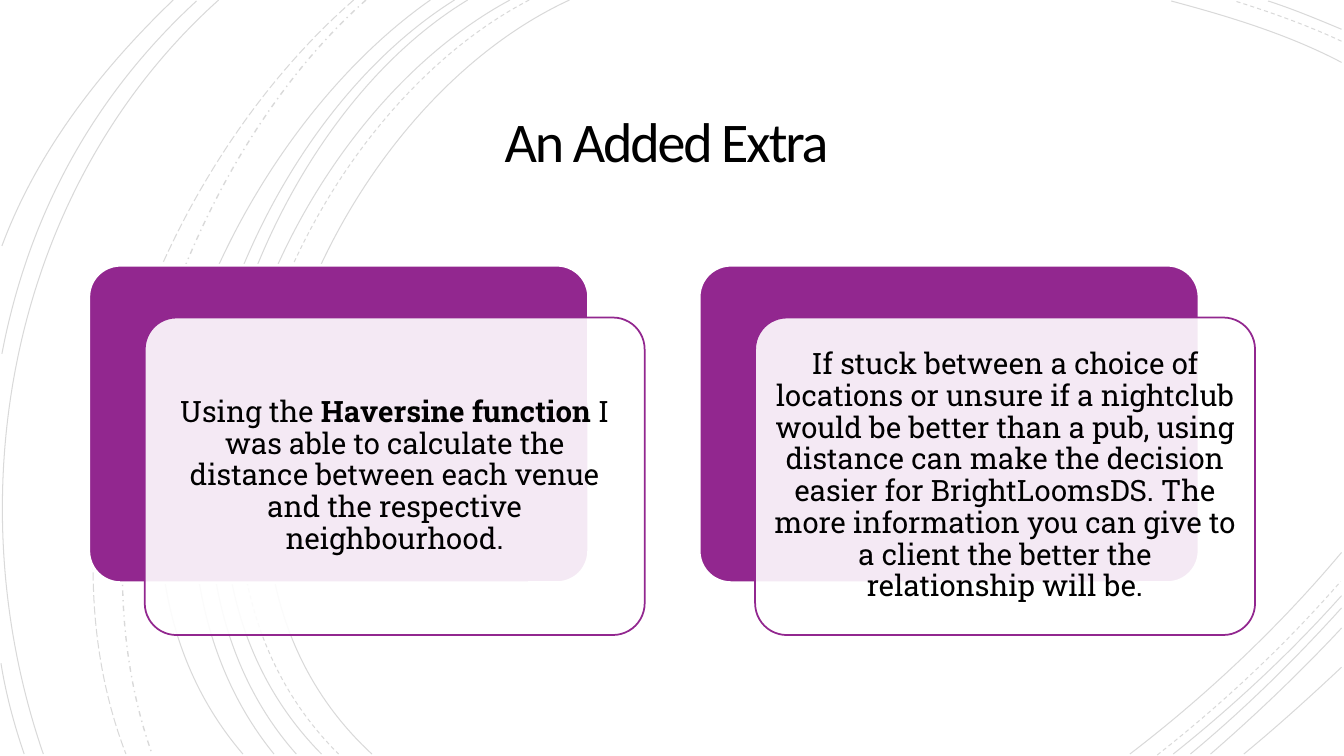
from dataclasses import dataclass

from lxml.etree import SubElement
from pptx import Presentation
from pptx.dml.color import RGBColor
from pptx.enum.dml import MSO_LINE_DASH_STYLE as Dash
from pptx.enum.shapes import MSO_SHAPE as Preset
from pptx.enum.text import MSO_ANCHOR as Anchor, PP_ALIGN as Align
from pptx.oxml.ns import qn
from pptx.shapes.autoshape import Shape
from pptx.slide import Slide
from pptx.text.text import TextFrame
from pptx.util import Pt

BLACK = RGBColor(0x00, 0x00, 0x00)
WHITE = RGBColor(0xFF, 0xFF, 0xFF)
PURPLE = RGBColor(0x92, 0x27, 0x8F)

CARD_LEFT, CARD_TOP = 63.4, 189.4
CARD_WIDTH, CARD_HEIGHT = 357.1, 226.8
CARD_STEP = 436
FRONT_SHIFT_X, FRONT_SHIFT_Y = 40, 37.4

Point = tuple[float, float]


@dataclass
class Arc:
    start: Point
    first_control: Point
    second_control: Point
    end: Point
    dash: Dash = Dash.SOLID
    width: float = 0.75


@dataclass
class TextPart:
    text: str
    bold: bool = False


ARCS = [
    Arc((406.8, 0), (226.8, 82.8), (103, 388.8), (265.7, 538.6)),
    Arc((958.3, 44.6), (920.2, 24.5), (877, 11.5), (836.6, 0.7)),
    Arc((807.1, 538.6), (861.8, 496.8), (913.7, 447.8), (958.3, 394.6)),
    Arc((378, 0), (205.2, 90), (88.6, 386.6), (241.9, 538.6), Dash.DASH),
    Arc((958.3, 29.5), (933.8, 18), (907.2, 8.6), (882, 0.7), Dash.DASH),
    Arc((826.6, 539.3), (873.4, 502.6), (918, 460.8), (957.6, 415.4), Dash.DASH),
    Arc((364.3, 0), (194.4, 91.4), (79.2, 386.6), (229.7, 538.6)),
    Arc((958.3, 20.9), (941, 13.7), (923.8, 6.5), (905.8, 0.7)),
    Arc((838.1, 538.6), (880.6, 504.7), (921.6, 466.6), (958.3, 425.5)),
    Arc((334.1, 0), (175.7, 95.8), (79.2, 389.5), (211.7, 538.6)),
    Arc((850.3, 538.6), (888.5, 506.9), (924.5, 471.6), (958.3, 434.2)),
    Arc((324.7, 0), (166.3, 99.4), (69.8, 383.8), (195.8, 538.6)),
    Arc((864.7, 538.6), (897.1, 510.5), (928.8, 480.2), (958.3, 448.6)),
    Arc((307.4, 0), (156.2, 105.8), (38.2, 380.9), (173.5, 538.6)),
    Arc((888.5, 538.6), (912.2, 519.1), (935.3, 498.2), (958.3, 476.6)),
    Arc((261.4, 0), (126.7, 119.5), (46.8, 366.5), (108.7, 538.6), Dash.DASH_DOT, 1),
    Arc((252.7, 0), (113, 121.7), (20.9, 359.3), (90, 538.6), Dash.LONG_DASH),
    Arc((156.2, 0), (7.9, 133.2), (-33.1, 352.8), (31, 538.6)),
    Arc((140.4, 0.7), (66.2, 69.1), (20.2, 154.1), (1.4, 252.7)),
    Arc((0.7, 473.8), (4.3, 496.1), (10.1, 517.7), (17.3, 538.6)),
    Arc((123.8, 0), (72, 49.7), (26.6, 108), (1.4, 175.7)),
]

CARDS = [
    [
        TextPart("Using the "),
        TextPart("Haversine function", bold=True),
        TextPart(" I was able to calculate the distance between each venue "
                 "and the respective neighbourhood."),
    ],
    [
        TextPart("If stuck between a choice of locations or unsure if a nightclub "
                 "would be better than a pub, using distance can make the decision "
                 "easier for BrightLoomsDS. The more information you can give to a "
                 "client the better the relationship will be."),
    ],
]


def set_opacity(shape: Shape, color_parent: str, percent: int) -> None:
    color = shape._element.spPr.find(f"{color_parent}/{qn('a:srgbClr')}")
    SubElement(color, qn("a:alpha")).set("val", str(percent * 1000))


def set_margins(frame: TextFrame, margin: float) -> None:
    frame.margin_left = frame.margin_right = Pt(margin)
    frame.margin_top = frame.margin_bottom = Pt(margin)


def draw_arc(slide: Slide, arc: Arc) -> None:
    builder = slide.shapes.build_freeform(Pt(arc.start[0]), Pt(arc.start[1]))
    corners = (arc.first_control, arc.second_control, arc.end)
    builder.add_line_segments([(Pt(x), Pt(y)) for x, y in corners], close=False)
    shape = builder.convert_to_shape()
    outline = shape._element.spPr.find(f".//{qn('a:path')}")
    segments = outline.findall(qn("a:lnTo"))
    curve = SubElement(outline, qn("a:cubicBezTo"))
    for segment in segments:
        curve.append(segment[0])
        outline.remove(segment)
    shape.shadow.inherit = False
    shape.fill.background()
    shape.line.color.rgb = BLACK
    shape.line.width = Pt(arc.width)
    shape.line.dash_style = arc.dash
    set_opacity(shape, f"{qn('a:ln')}/{qn('a:solidFill')}", 15)


def draw_panel(slide: Slide, left: float, top: float, fill: RGBColor,
               line: RGBColor, line_width: float) -> Shape:
    panel = slide.shapes.add_shape(
        Preset.ROUNDED_RECTANGLE, Pt(left), Pt(top), Pt(CARD_WIDTH), Pt(CARD_HEIGHT))
    panel.adjustments[0] = 0.1
    panel.shadow.inherit = False
    panel.fill.solid()
    panel.fill.fore_color.rgb = fill
    panel.line.color.rgb = line
    panel.line.width = Pt(line_width)
    return panel


def draw_card(slide: Slide, left: float, parts: list[TextPart]) -> None:
    draw_panel(slide, left, CARD_TOP, PURPLE, WHITE, 2)
    front = draw_panel(slide, left + FRONT_SHIFT_X, CARD_TOP + FRONT_SHIFT_Y,
                       WHITE, PURPLE, 1.25)
    set_opacity(front, qn("a:solidFill"), 90)
    frame = front.text_frame
    frame.word_wrap = True
    frame.vertical_anchor = Anchor.MIDDLE
    set_margins(frame, 6.5)
    paragraph = frame.paragraphs[0]
    paragraph.alignment = Align.CENTER
    paragraph.line_spacing = 0.9
    for part in parts:
        run = paragraph.add_run()
        run.text = part.text
        run.font.name = "Roboto Slab"
        run.font.size = Pt(21)
        run.font.bold = part.bold
        run.font.color.rgb = BLACK


def format_title(slide: Slide) -> None:
    title = slide.shapes.title
    title.left, title.top = Pt(138.2), Pt(62.6)
    title.width, title.height = Pt(683.3), Pt(82.8)
    frame = title.text_frame
    frame.text = "An Added Extra "
    frame.word_wrap = True
    frame.vertical_anchor = Anchor.MIDDLE
    set_margins(frame, 18)
    paragraph = frame.paragraphs[0]
    paragraph.alignment = Align.CENTER
    paragraph.line_spacing = 0.85
    font = paragraph.runs[0].font
    font.name = "Calibri"
    font.size = Pt(40)
    font.color.rgb = BLACK
    paragraph.runs[0]._r.get_or_add_rPr().set("spc", "-150")


def main() -> None:
    presentation = Presentation()
    presentation.slide_width, presentation.slide_height = Pt(960), Pt(540)
    slide = presentation.slides.add_slide(presentation.slide_layouts[5])
    format_title(slide)
    for arc in ARCS:
        draw_arc(slide, arc)
    for index, parts in enumerate(CARDS):
        draw_card(slide, CARD_LEFT + index * CARD_STEP, parts)
    presentation.save("out.pptx")


if __name__ == "__main__":
    main()
